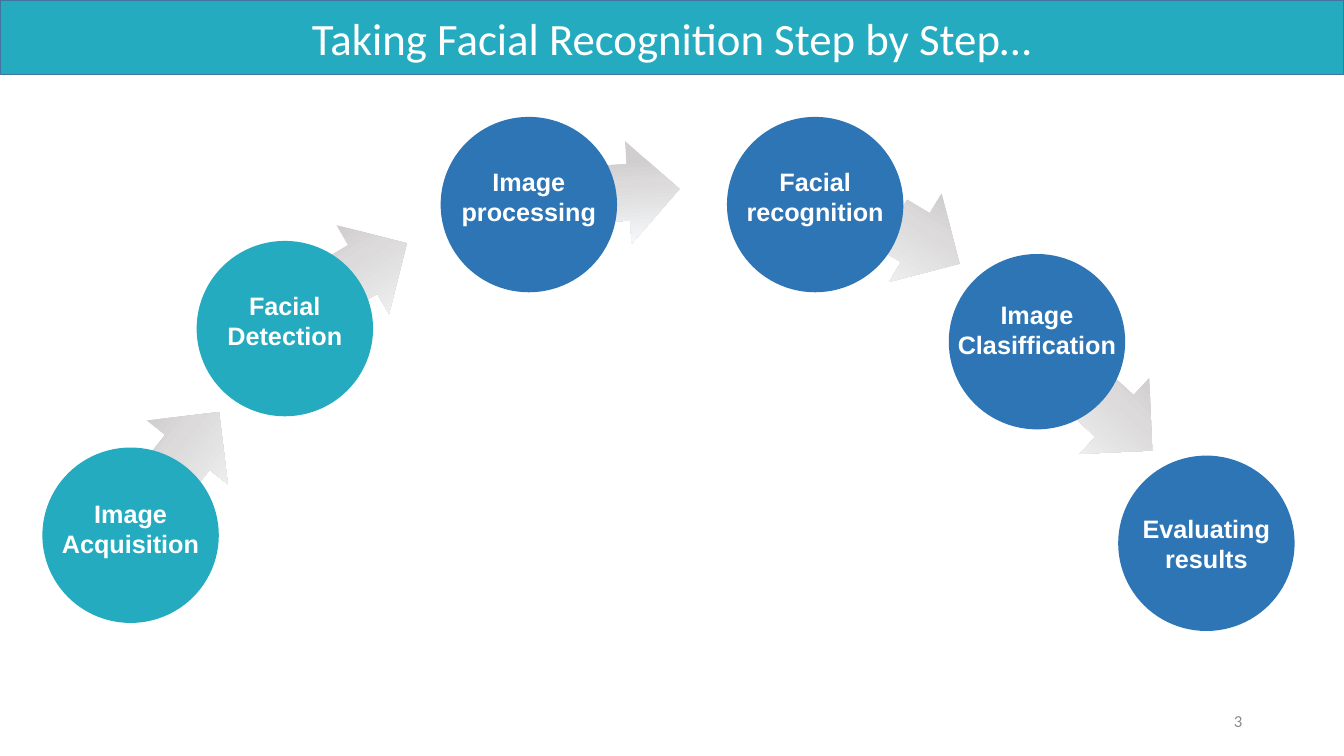
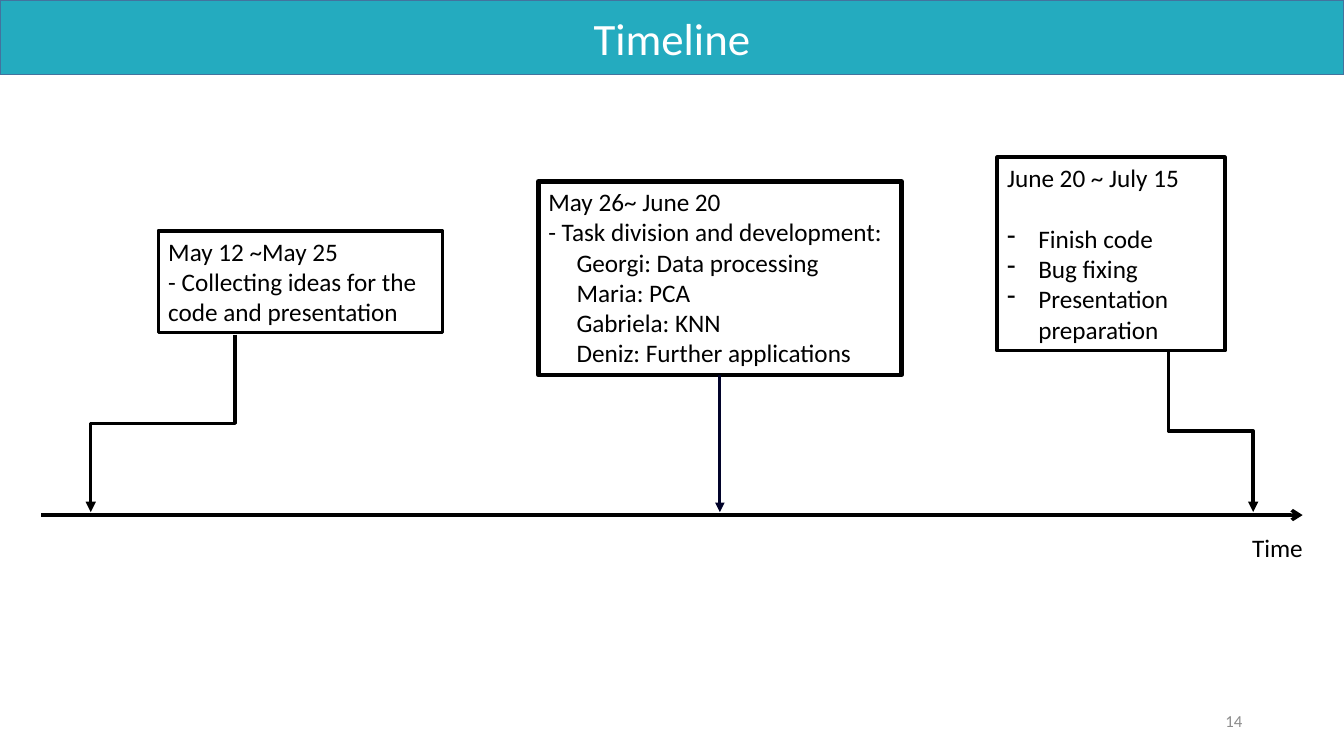
from lxml import etree
from pptx import Presentation
from pptx.dml.color import RGBColor
from pptx.enum.shapes import MSO_CONNECTOR, MSO_SHAPE
from pptx.enum.text import MSO_ANCHOR, MSO_AUTO_SIZE, PP_ALIGN
from pptx.oxml.ns import qn
from pptx.util import Inches, Pt

TEAL = RGBColor(0x24, 0xAB, 0xBF)
BLUE = RGBColor(0x2E, 0x75, 0xB6)
BAND_EDGE = RGBColor(0x43, 0x73, 0x9E)
NAVY = RGBColor(0x01, 0x03, 0x2A)
BLACK = RGBColor(0x00, 0x00, 0x00)
WHITE = RGBColor(0xFF, 0xFF, 0xFF)
GRAY = RGBColor(0x8C, 0x8C, 0x8C)
SILVER = RGBColor(0xD0, 0xCE, 0xCE)
PALE_SILVER = RGBColor(0xDC, 0xDA, 0xDA)
MIST = RGBColor(0xF7, 0xFA, 0xFD)
ARROW_STOPS = ((0, SILVER), (21, SILVER), (43, PALE_SILVER), (100, MIST))

LEFT, CENTER, RIGHT = PP_ALIGN.LEFT, PP_ALIGN.CENTER, PP_ALIGN.RIGHT
TOP, MIDDLE = MSO_ANCHOR.TOP, MSO_ANCHOR.MIDDLE
FIXED = MSO_AUTO_SIZE.NONE
STRAIGHT, ELBOW = MSO_CONNECTOR.STRAIGHT, MSO_CONNECTOR.ELBOW
RECTANGLE, OVAL, RIGHT_ARROW = MSO_SHAPE.RECTANGLE, MSO_SHAPE.OVAL, MSO_SHAPE.RIGHT_ARROW

PLAIN, INDENTED, DASHED = "plain", "indented", "dashed"
SLIDE_WIDTH, SLIDE_HEIGHT = 13.33, 7.5
TITLE_ONLY = 5


class Slides:
    heading_font = "Calibri"
    label_font = "Arial"

    def __init__(self):
        self.deck = Presentation()
        self.deck.slide_width = Inches(SLIDE_WIDTH)
        self.deck.slide_height = Inches(SLIDE_HEIGHT)
        self.page = None

    def start_page(self, title, number):
        self.page = self.deck.slides.add_slide(self.deck.slide_layouts[TITLE_ONLY])
        band = self.page.shapes.title
        band.left, band.top = Inches(0), Inches(0)
        band.width, band.height = Inches(SLIDE_WIDTH), Inches(0.74)
        band.fill.solid()
        band.fill.fore_color.rgb = TEAL
        band.line.color.rgb = BAND_EDGE
        band.line.width = Pt(1)
        band.text_frame.text = title
        self.format_text(band.text_frame, 32, WHITE, CENTER, MIDDLE)
        self.text(number, 9.42, 6.95, 3, 0.4, 12, GRAY, RIGHT, MIDDLE)

    def format_text(self, frame, size, color, align, anchor, font=heading_font, bold=False):
        frame.auto_size = FIXED
        frame.vertical_anchor = anchor
        for para in frame.paragraphs:
            para.alignment = align
            for span in para.runs:
                span.font.name = font
                span.font.size = Pt(size)
                span.font.bold = bold
                span.font.color.rgb = color

    def text(self, words, left, top, width, height, size, color, align, anchor):
        box = self.page.shapes.add_textbox(
            Inches(left), Inches(top), Inches(width), Inches(height))
        box.text_frame.word_wrap = True
        box.text_frame.text = words
        self.format_text(box.text_frame, size, color, align, anchor)

    def shape(self, kind, left, top, width, height):
        shape = self.page.shapes.add_shape(
            kind, Inches(left), Inches(top), Inches(width), Inches(height))
        shape.shadow.inherit = False
        return shape

    def block_arrow(self, left, top, rotation):
        arrow = self.shape(RIGHT_ARROW, left, top, 0.77, 1.02)
        arrow.rotation = rotation
        arrow.adjustments[0], arrow.adjustments[1] = 0.55, 0.66
        arrow.line.fill.background()
        arrow.fill.gradient()
        arrow.fill.gradient_angle = 270
        stops = arrow.fill._xPr.find(qn("a:gradFill")).find(qn("a:gsLst"))
        for stop in list(stops):
            stops.remove(stop)
        for percent, color in ARROW_STOPS:
            stop = etree.SubElement(stops, qn("a:gs"), pos=str(percent * 1000))
            etree.SubElement(stop, qn("a:srgbClr"), val=str(color))

    def step_circle(self, words, left, top, color, lift):
        circle = self.shape(OVAL, left, top, 1.75, 1.74)
        circle.fill.solid()
        circle.fill.fore_color.rgb = color
        circle.line.fill.background()
        frame = circle.text_frame
        frame.word_wrap = False
        frame.margin_left = frame.margin_right = frame.margin_top = 0
        frame.margin_bottom = Inches(2 * lift)
        frame.text = words
        self.format_text(frame, 18, WHITE, CENTER, MIDDLE, self.label_font, True)

    def note_box(self, left, top, width, height, weight, heading, items, gap=0):
        box = self.shape(RECTANGLE, left, top, width, height)
        box.fill.background()
        box.line.color.rgb = BLACK
        box.line.width = Pt(weight)
        frame = box.text_frame
        frame.word_wrap = True
        frame.text = heading
        frame.paragraphs[0].space_after = Pt(gap)
        for style, words in items:
            para = frame.add_paragraph()
            para.text = words
            properties = para._p.get_or_add_pPr()
            if style == INDENTED:
                properties.set("marL", str(Inches(0.28)))
            elif style == DASHED:
                properties.set("marL", str(Inches(0.31)))
                properties.set("indent", str(Inches(-0.31)))
                etree.SubElement(properties, qn("a:buChar"), char="-")
        self.format_text(frame, 18, BLACK, LEFT, TOP)

    def connector(self, kind, start, end, color, weight, tip):
        line = self.page.shapes.add_connector(
            kind, *(Inches(value) for value in (*start, *end)))
        line.line.color.rgb = color
        line.line.width = Pt(weight)
        etree.SubElement(line.line._get_or_add_ln(), qn("a:tailEnd"), type=tip)
        etree.SubElement(line._element.spPr, qn("a:effectLst"))
        return line

    def drop_arrow(self, start, end):
        (start_x, start_y), (end_x, end_y) = start, end
        middle_x, middle_y = (start_x + end_x) / 2, (start_y + end_y) / 2
        half_width, half_height = (end_y - start_y) / 2, abs(end_x - start_x) / 2
        to_right = end_x > start_x
        if to_right:
            half_width = -half_width
        line = self.connector(
            ELBOW,
            (middle_x - half_width, middle_y - half_height),
            (middle_x + half_width, middle_y + half_height),
            BLACK, 2.5, "triangle")
        degrees = 270 if to_right else 90
        line._element.spPr.find(qn("a:xfrm")).set("rot", str(degrees * 60000))


def add_steps(slides):
    slides.start_page("Taking Facial Recognition Step by Step…", "3")
    for left, top, rotation in (
        (1.55, 3.88, 308.2),
        (3.32, 2.1, 329.3),
        (5.97, 1.39, 356.3),
        (8.8, 1.91, 30.6),
        (10.76, 3.7, 42.5),
    ):
        slides.block_arrow(left, top, rotation)
    for step in (
        ("Image\vAcquisition", 0.42, 4.44, TEAL, 0.07),
        ("Facial\vDetection", 1.95, 2.39, TEAL, 0.08),
        ("Image\vprocessing", 4.37, 1.16, BLUE, 0.08),
        ("Facial\vrecognition", 7.21, 1.16, BLUE, 0.08),
        ("Image\vClasiffication", 9.41, 2.52, BLUE, 0.12),
        ("Evaluating\vresults", 11.09, 4.52, BLUE, 0),
    ):
        slides.step_circle(*step)


def add_timeline(slides):
    slides.start_page("Timeline", "14")
    slides.connector(STRAIGHT, (0.41, 5.11), (12.92, 5.11), BLACK, 2.5, "arrow")
    slides.text("Time", 12.32, 5.23, 0.8, 0.4, 18, BLACK, LEFT, TOP)
    slides.note_box(1.57, 2.29, 2.82, 1.01, 2.5, "May 12 ~May 25", (
        (PLAIN, "- Collecting ideas for the code and presentation"),
    ))
    slides.note_box(5.34, 1.8, 3.6, 1.92, 3.25, "May 26~ June 20", (
        (PLAIN, "- Task division and development:"),
        (INDENTED, "Georgi: Data processing"),
        (INDENTED, "Maria: PCA"),
        (INDENTED, "Gabriela: KNN"),
        (INDENTED, "Deniz: Further applications"),
    ))
    slides.note_box(9.89, 1.56, 2.26, 1.92, 2.5, "June 20 ~ July 15", (
        (DASHED, "Finish code"),
        (DASHED, "Bug fixing"),
        (DASHED, "Presentation preparation"),
    ), gap=22)
    slides.drop_arrow((2.33, 3.32), (0.9, 5.08))
    slides.connector(STRAIGHT, (7.14, 3.72), (7.14, 5.08), NAVY, 2.25, "triangle")
    slides.drop_arrow((11.59, 3.47), (12.43, 5.08))


def main():
    slides = Slides()
    add_steps(slides)
    add_timeline(slides)
    slides.deck.save("out.pptx")


if __name__ == "__main__":
    main()
